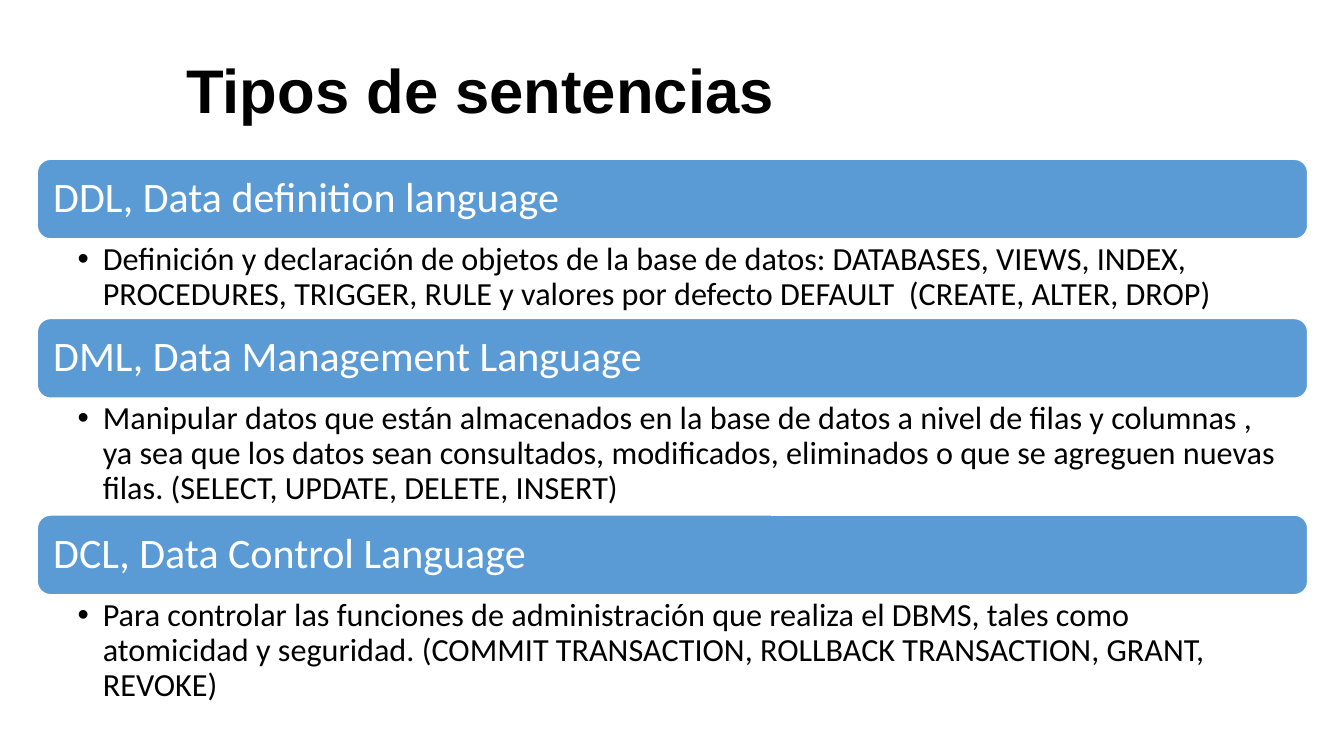
from dataclasses import dataclass

from lxml import etree
from pptx import Presentation
from pptx.dml.color import RGBColor
from pptx.enum.shapes import MSO_SHAPE
from pptx.enum.text import MSO_ANCHOR, PP_ALIGN
from pptx.oxml.ns import qn
from pptx.util import Inches, Pt

ROUNDED = MSO_SHAPE.ROUNDED_RECTANGLE
TOP, MIDDLE = MSO_ANCHOR.TOP, MSO_ANCHOR.MIDDLE
LEFT = PP_ALIGN.LEFT


@dataclass(frozen=True)
class Theme:
    black: RGBColor = RGBColor(0x00, 0x00, 0x00)
    white: RGBColor = RGBColor(0xFF, 0xFF, 0xFF)
    blue: RGBColor = RGBColor(0x5B, 0x9B, 0xD5)
    title_font: str = "Arial"
    body_font: str = "Calibri"
    title_size: int = 44
    banner_size: int = 30
    detail_size: int = 23


THEME = Theme()

# Shared column of banners and details, in inches
COLUMN_LEFT, COLUMN_WIDTH = 0.37, 12.6
FIRST_TOP, BANNER_HEIGHT = 1.58, 0.79

# Heading, detail, height of the detail box
SENTENCE_TYPES = [
    ("DDL, Data definition language",
     "Definición y declaración de objetos de la base de datos: DATABASES, VIEWS, INDEX, "
     "PROCEDURES, TRIGGER, RULE y valores por defecto DEFAULT  (CREATE, ALTER, DROP)",
     0.79),
    ("DML, Data Management Language",
     "Manipular datos que están almacenados en la base de datos a nivel de filas y columnas , "
     "ya sea que los datos sean consultados, modificados, eliminados o que se agreguen nuevas "
     "filas. (SELECT, UPDATE, DELETE, INSERT)",
     1.16),
    ("DCL, Data Control Language",
     "Para controlar las funciones de administración que realiza el DBMS, tales como "
     "atomicidad y seguridad. (COMMIT TRANSACTION, ROLLBACK TRANSACTION, GRANT, REVOKE)",
     0.79),
]


def apply_format(target, values):
    for name, value in values.items():
        setattr(target, name, value)


def write_text(shape, text, font, size, color, anchor, margins, bold=False):
    """Fill a shape with one left-aligned paragraph and return it."""
    frame = shape.text_frame
    left, top, right, bottom = (Inches(margin) for margin in margins)
    apply_format(frame, {
        "word_wrap": True, "vertical_anchor": anchor,
        "margin_left": left, "margin_top": top,
        "margin_right": right, "margin_bottom": bottom,
    })
    para = frame.paragraphs[0]
    apply_format(para, {"alignment": LEFT, "line_spacing": 0.9})
    span = para.add_run()
    span.text = text
    apply_format(span.font, {"name": font, "size": Pt(size), "bold": bold})
    span.font.color.rgb = color
    return para


def add_bullet(para, indent):
    properties = para._p.get_or_add_pPr()
    properties.set("marL", str(Inches(indent)))
    properties.set("indent", str(-Inches(indent)))
    etree.SubElement(properties, qn("a:buFont")).set("typeface", THEME.title_font)
    etree.SubElement(properties, qn("a:buChar")).set("char", "•")


def add_title(page, text):
    box = page.shapes.add_textbox(Inches(1.75), Inches(0.2), Inches(11.29), Inches(1.45))
    write_text(box, text, THEME.title_font, THEME.title_size, THEME.black,
               MIDDLE, (0.1, 0.05, 0.1, 0.05), bold=True)


def add_banner(page, text, top):
    banner = page.shapes.add_shape(ROUNDED, Inches(COLUMN_LEFT), Inches(top),
                                   Inches(COLUMN_WIDTH), Inches(BANNER_HEIGHT))
    banner.shadow.inherit = False
    banner.fill.solid()
    banner.fill.fore_color.rgb = THEME.blue
    banner.line.color.rgb = THEME.white
    banner.line.width = Pt(1)
    write_text(banner, text, THEME.body_font, THEME.banner_size, THEME.white,
               MIDDLE, (0.12, 0.12, 0.12, 0.12))


def add_detail(page, text, top, height):
    box = page.shapes.add_textbox(Inches(COLUMN_LEFT), Inches(top),
                                  Inches(COLUMN_WIDTH), Inches(height))
    para = write_text(box, text, THEME.body_font, THEME.detail_size, THEME.black,
                      TOP, (0.4, 0.04, 0.23, 0.04))
    para.level = 1
    add_bullet(para, 0.25)


def main():
    deck = Presentation()
    deck.slide_width, deck.slide_height = Inches(13.33), Inches(7.5)
    page = deck.slides.add_slide(deck.slide_layouts[6])

    add_title(page, "Tipos de sentencias")

    # Each banner sits directly above its detail, stacked down the page
    top = FIRST_TOP
    for heading, detail, detail_height in SENTENCE_TYPES:
        add_banner(page, heading, top)
        add_detail(page, detail, top + BANNER_HEIGHT, detail_height)
        top += BANNER_HEIGHT + detail_height

    deck.save("out.pptx")


if __name__ == "__main__":
    main()
